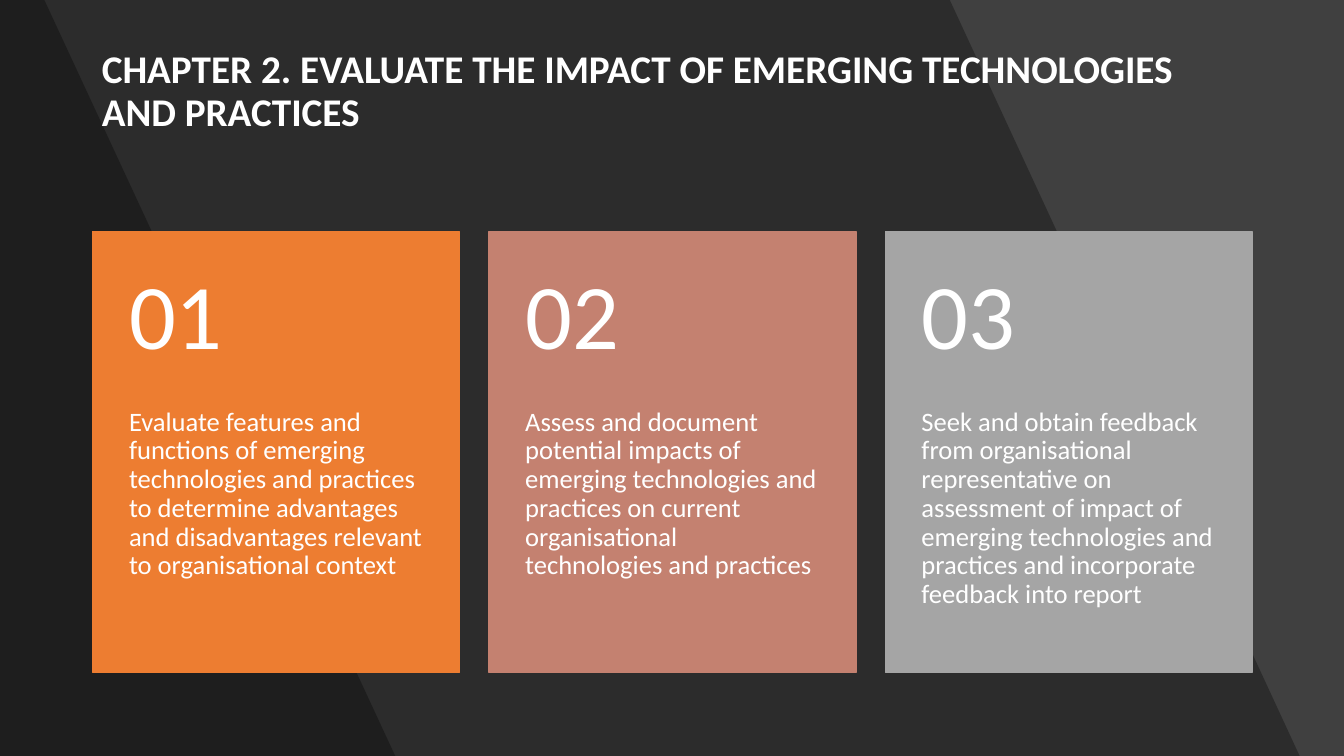
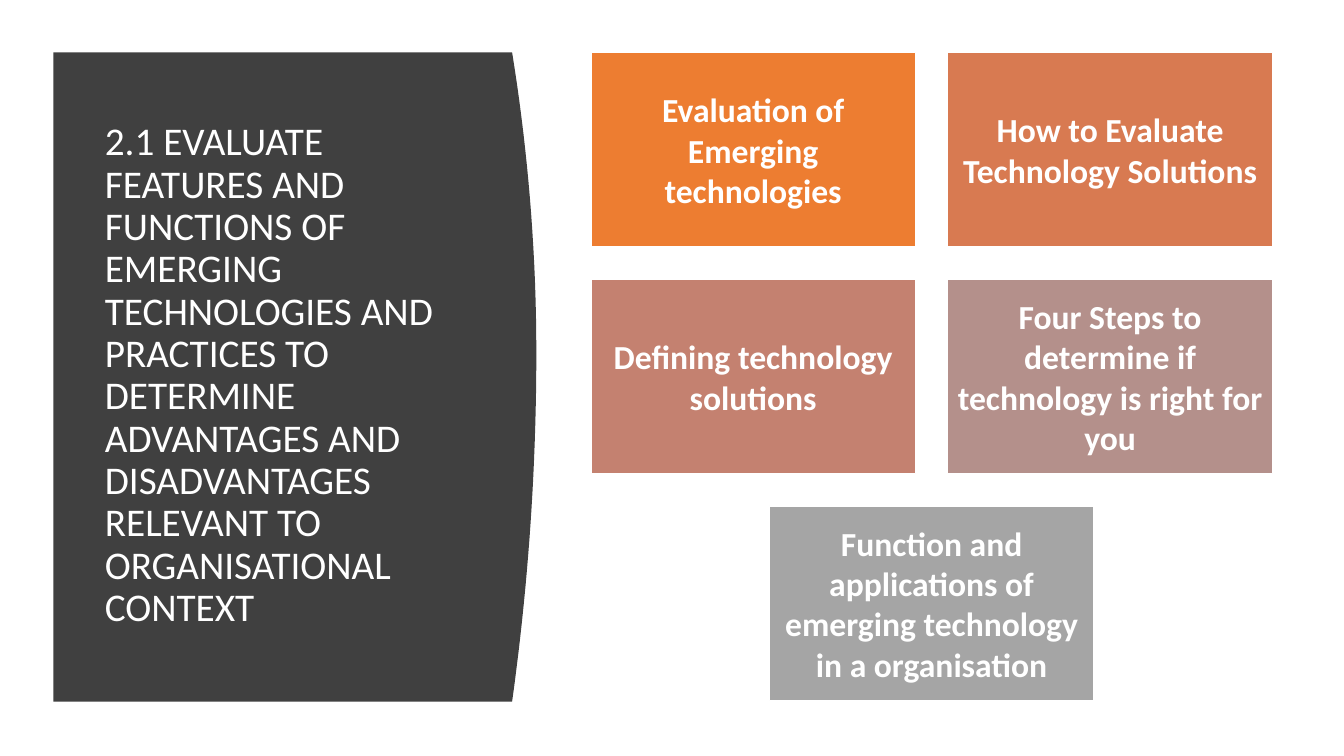
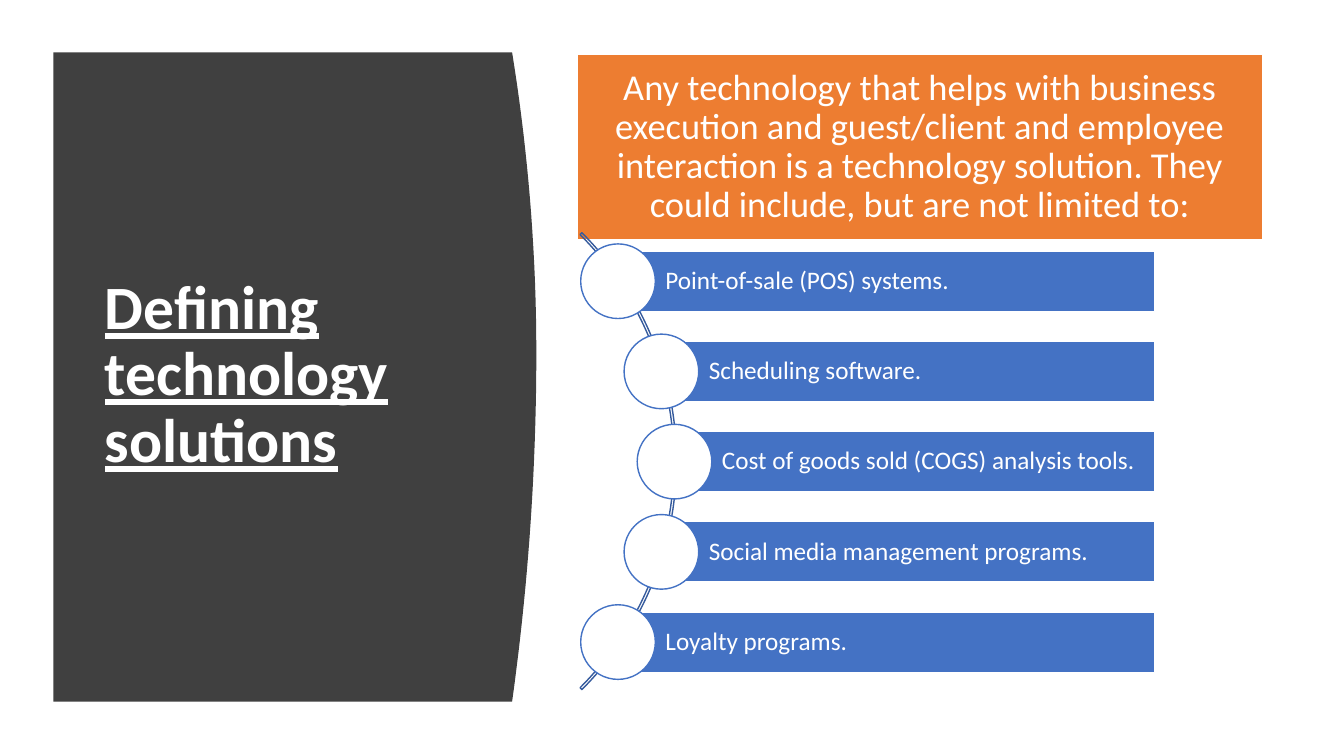
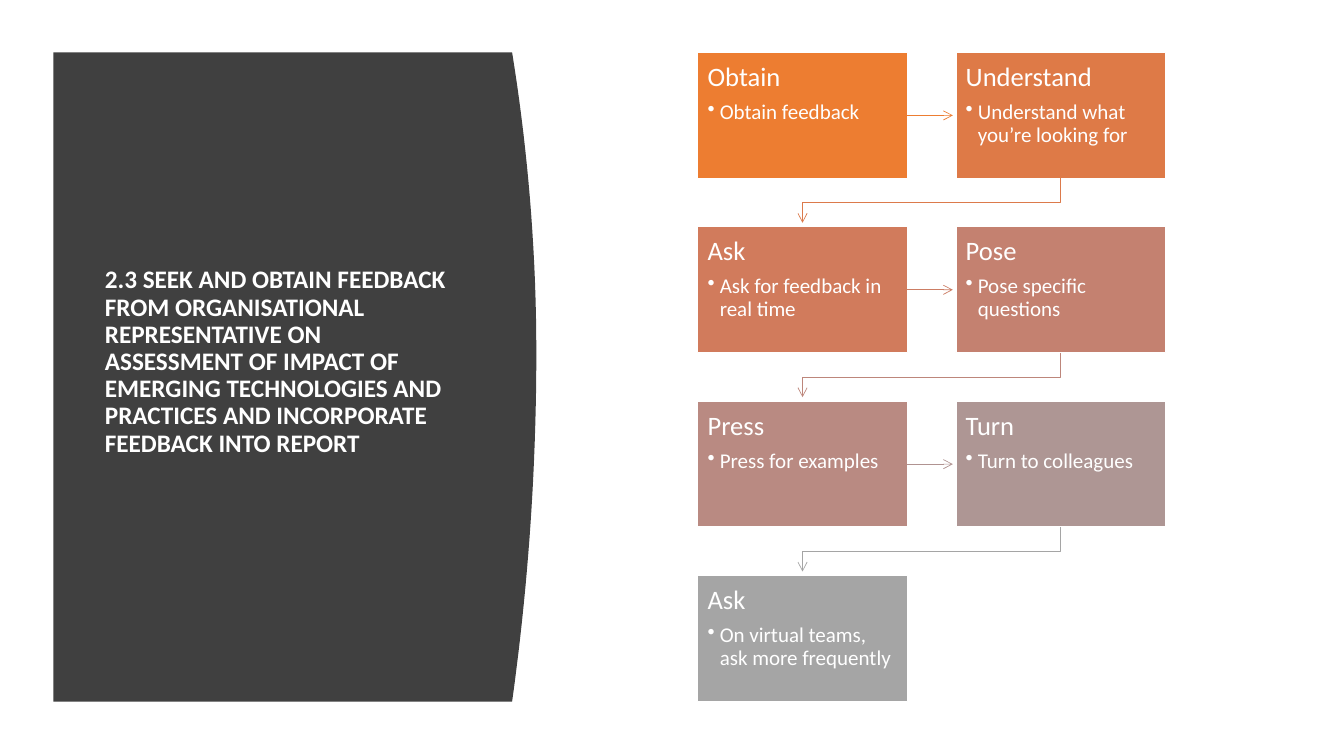
from lxml import etree
from pptx import Presentation
from pptx.dml.color import RGBColor
from pptx.enum.shapes import MSO_CONNECTOR, MSO_SHAPE
from pptx.enum.text import MSO_ANCHOR, MSO_AUTO_SIZE, PP_ALIGN
from pptx.oxml.ns import qn
from pptx.util import Inches, Pt

FONT = "Calibri"
WHITE = RGBColor(0xFF, 0xFF, 0xFF)
BLACK = RGBColor(0x00, 0x00, 0x00)
CHARCOAL = RGBColor(0x40, 0x40, 0x40)
ORANGE = RGBColor(0xED, 0x7D, 0x31)
ROSE = RGBColor(0xC4, 0x81, 0x70)
GREY = RGBColor(0xA5, 0xA5, 0xA5)
BLUE = RGBColor(0x44, 0x72, 0xC4)
ARC_BLUE = RGBColor(0x36, 0x5B, 0x9D)

LEFT, CENTER = PP_ALIGN.LEFT, PP_ALIGN.CENTER
TOP, MIDDLE = MSO_ANCHOR.TOP, MSO_ANCHOR.MIDDLE
RECTANGLE, OVAL, ARC = MSO_SHAPE.RECTANGLE, MSO_SHAPE.OVAL, MSO_SHAPE.BLOCK_ARC
STRAIGHT = MSO_CONNECTOR.STRAIGHT
NO_AUTOFIT = MSO_AUTO_SIZE.NONE
RIGHT_SIDE = 3
TITLE_ONLY = 5

PANEL_TITLE = (0.94, 1.11, 3.74, 5.24)

CARDS = [
    ("01", ORANGE, "Evaluate features and functions of emerging technologies and practices "
     "to determine advantages and disadvantages relevant to organisational context"),
    ("02", ROSE, "Assess and document potential impacts of emerging technologies and "
     "practices on current organisational technologies and practices"),
    ("03", GREY, "Seek and obtain feedback from organisational representative on assessment "
     "of impact of emerging technologies and practices and incorporate feedback into report"),
]

TOPICS = [
    ("Evaluation of Emerging technologies", ORANGE),
    ("How to Evaluate Technology Solutions", RGBColor(0xD8, 0x7A, 0x51)),
    ("Defining technology solutions", ROSE),
    ("Four Steps to determine if technology is right for you", RGBColor(0xB4, 0x90, 0x8B)),
    ("Function and applications of emerging technology in a organisation", GREY),
]

SOLUTIONS = [
    ("Point-of-sale (POS) systems.", 6.13),
    ("Scheduling software.", 6.56),
    ("Cost of goods sold (COGS) analysis tools.", 6.69),
    ("Social media management programs.", 6.56),
    ("Loyalty programs.", 6.13),
]

STEPS = [
    ("Obtain", "Obtain feedback", ORANGE),
    ("Understand", "Understand what you’re looking for", RGBColor(0xDE, 0x7A, 0x47)),
    ("Ask", "Ask for feedback in real time", RGBColor(0xD1, 0x7B, 0x5C)),
    ("Pose", "Pose specific questions", ROSE),
    ("Press", "Press for examples", RGBColor(0xB9, 0x8A, 0x82)),
    ("Turn", "Turn to colleagues", RGBColor(0xAE, 0x96, 0x94)),
    ("Ask", "On virtual teams, ask more frequently", GREY),
]

ARROW_COLORS = [
    ORANGE, RGBColor(0xDC, 0x7A, 0x4B), RGBColor(0xCC, 0x7D, 0x64),
    RGBColor(0xBD, 0x86, 0x7B), RGBColor(0xB0, 0x93, 0x91), GREY,
]


def inches(*lengths):
    """Turn numbers into lengths."""
    return [Inches(length) for length in lengths]


def format_paragraph(paragraph, size, bold=False, align=LEFT, spacing=0.9):
    """Give a paragraph the shared white type."""
    paragraph.alignment = align
    paragraph.line_spacing = spacing
    font = paragraph.font
    font.name, font.size, font.bold = FONT, Pt(size), bold
    font.color.rgb = WHITE


def set_frame(frame, margins, anchor):
    """Set wrapping, anchor and margins (left, top, right, bottom)."""
    frame.word_wrap = True
    frame.auto_size = NO_AUTOFIT
    frame.vertical_anchor = anchor
    (frame.margin_left, frame.margin_top,
     frame.margin_right, frame.margin_bottom) = inches(*margins)


def write(box, text, size, margins, anchor=MIDDLE, **style):
    """Put one formatted paragraph into a box."""
    frame = box.text_frame
    set_frame(frame, margins, anchor)
    frame.text = text
    format_paragraph(frame.paragraphs[0], size, **style)


def add_title(slide, text, size, place, bottom=0.05, **style):
    """Place and format the slide title."""
    title = slide.shapes.title
    title.left, title.top, title.width, title.height = inches(*place)
    write(title, text, size, (0.1, 0.05, 0.1, bottom), **style)
    return title


def add_block(slide, kind, place, fill, line):
    """Add a flat preset shape; a fill of None leaves it open."""
    block = slide.shapes.add_shape(kind, *inches(*place))
    block.shadow.inherit = False
    if fill is None:
        block.fill.background()
    else:
        block.fill.solid()
        block.fill.fore_color.rgb = fill
    block.line.color.rgb = line
    block.line.width = Pt(1)
    return block


def add_outline(slide, points, close=True):
    """Add a freeform through points given in inches."""
    start, *rest = [inches(*point) for point in points]
    builder = slide.shapes.build_freeform(*start)
    builder.add_line_segments(rest, close=close)
    outline = builder.convert_to_shape()
    outline.shadow.inherit = False
    return outline


def add_backdrop(slide, points, color, opacity=None):
    """Add a filled outline behind the title."""
    backdrop = add_outline(slide, points)
    backdrop.fill.solid()
    backdrop.fill.fore_color.rgb = color
    backdrop.line.fill.background()
    if opacity is not None:
        tint = backdrop.element.spPr.find(qn("a:solidFill"))[0]
        etree.SubElement(tint, qn("a:alpha"), val=str(opacity * 1000))
    slide.shapes.title.element.addprevious(backdrop.element)


def add_panel(slide):
    """Add the charcoal title panel with its bowed right edge."""
    left, top, bottom, apex, right, bow = 0.53, 0.52, 6.96, 3.5, 5.32, 0.24
    count = 40
    edge = []
    for index in range(count + 1):
        y = top + (bottom - top) * index / count
        reach = apex - top if y < apex else bottom - apex
        edge.append((right - bow * ((y - apex) / reach) ** 2, y))
    add_backdrop(slide, [(left, top), *edge, (left, bottom)], CHARCOAL)


def add_arrowhead(line, color):
    """Style a thin line and end it with an open arrowhead."""
    line.line.color.rgb = color
    line.line.width = Pt(0.5)
    stroke = line.element.spPr.find(qn("a:ln"))
    etree.SubElement(stroke, qn("a:tailEnd"), type="arrow")


def add_step(slide, heading, detail, place, color):
    """Add a box with a heading and one bullet."""
    box = add_block(slide, RECTANGLE, place, color, WHITE)
    write(box, heading, 19, (0.1, 0.11, 0.1, 0.11), TOP)
    box.text_frame.paragraphs[0].space_after = Pt(6.5)
    bullet = box.text_frame.add_paragraph()
    bullet.text = detail
    bullet.level = 1
    properties = bullet._p.get_or_add_pPr()
    properties.set("marL", str(Inches(0.12)))
    properties.set("indent", str(Inches(-0.12)))
    etree.SubElement(properties, qn("a:buChar"), char="•")
    format_paragraph(bullet, 15)
    return box


def add_straight_arrow(slide, box, end, color):
    """Point an arrow from the right side of a box to an end."""
    x, y = inches(*end)
    arrow = slide.shapes.add_connector(STRAIGHT, box.left + box.width, y, x, y)
    arrow.begin_connect(box, RIGHT_SIDE)
    add_arrowhead(arrow, color)
    etree.SubElement(arrow.element.spPr, qn("a:effectLst"))


def add_bent_arrow(slide, start, end, color):
    """Point an arrow down, across and down again."""
    bend = start[1] + 0.24
    arrow = add_outline(slide, [start, (start[0], bend), (end[0], bend), end], close=False)
    arrow.fill.background()
    add_arrowhead(arrow, color)


def build_chapter(slide):
    """Build the chapter opening with three numbered cards."""
    slide.background.fill.solid()
    slide.background.fill.fore_color.rgb = CHARCOAL
    for top_right, bottom_right in ((9.42, 12.89), (0.44, 3.92)):
        add_backdrop(slide, [(0, 0), (top_right, 0), (bottom_right, 7.5), (0, 7.5)], BLACK, 30)
    add_title(slide, "CHAPTER 2. EVALUATE THE IMPACT OF EMERGING TECHNOLOGIES AND PRACTICES",
              28, (0.91, 0.4, 11.51, 1.45), bottom=0.47, bold=True)
    for index, (number, color, text) in enumerate(CARDS):
        left = 0.92 + 3.93 * index
        card = add_block(slide, RECTANGLE, (left, 2.3, 3.64, 4.37), color, color)
        write(card, text, 19, (0.36, 1.75, 0.36, 0.36), TOP)
        label = slide.shapes.add_textbox(*inches(left, 2.3, 3.64, 1.75))
        write(label, number, 66, (0.36, 0.18, 0.36, 0.18))


def build_topics(slide):
    """Build the topic overview, its last box centred."""
    add_panel(slide)
    add_title(slide, "2.1 EVALUATE FEATURES AND FUNCTIONS OF EMERGING TECHNOLOGIES AND PRACTICES "
              "TO DETERMINE ADVANTAGES AND DISADVANTAGES RELEVANT TO ORGANISATIONAL CONTEXT",
              28, PANEL_TITLE)
    pitch = 3.54
    for index, (text, color) in enumerate(TOPICS):
        row, column = divmod(index, 2)
        if index == len(TOPICS) - 1:
            column = 0.5
        place = (5.86 + pitch * column, 0.52 + 2.25 * row, 3.22, 1.93)
        box = add_block(slide, RECTANGLE, place, color, WHITE)
        write(box, text, 24, (0.1,) * 4, bold=True, align=CENTER, spacing=1.0)


def build_solutions(slide):
    """Build the definition and its list along an arc."""
    add_panel(slide)
    title = add_title(slide, "Defining technology solutions", 44, PANEL_TITLE, bold=True)
    title.text_frame.paragraphs[0].font.underline = True
    definition = add_block(slide, RECTANGLE, (5.73, 0.54, 6.79, 1.84), ORANGE, WHITE)
    write(definition, "Any technology that helps with business execution and guest/client and "
          "employee interaction is a technology solution. They could include, but are not "
          "limited to:", 26, (0.11,) * 4, align=CENTER)
    arc = add_block(slide, ARC, (0.3, 1.37, 6.41, 6.41), None, ARC_BLUE)
    for index, value in enumerate((189, 27, 0.004)):
        arc.adjustments[index] = value
    first, last, right = 2.49, 6.07, 11.45
    pitch = (last - first) / (len(SOLUTIONS) - 1)
    for index, (text, left) in enumerate(SOLUTIONS):
        top = first + pitch * index
        bar = add_block(slide, RECTANGLE, (left, top, right - left, 0.6), BLUE, WHITE)
        write(bar, text, 18, (0.47, 0.05, 0.05, 0.05))
        add_block(slide, OVAL, (left - 0.37, top - 0.07, 0.74, 0.74), WHITE, BLUE)


def build_feedback(slide):
    """Build the feedback steps joined by arrows."""
    add_panel(slide)
    add_title(slide, "2.3 SEEK AND OBTAIN FEEDBACK FROM ORGANISATIONAL REPRESENTATIVE ON "
              "ASSESSMENT OF IMPACT OF EMERGING TECHNOLOGIES AND PRACTICES AND INCORPORATE "
              "FEEDBACK INTO REPORT", 18, PANEL_TITLE, bottom=0.32, bold=True)
    left, top, width, height = 6.92, 0.52, 2.08, 1.25
    across, down = 2.56, 1.73
    for index, (heading, detail, color) in enumerate(STEPS):
        row, column = divmod(index, 2)
        x, y = left + across * column, top + down * row
        box = add_step(slide, heading, detail, (x, y, width, height), color)
        if index == len(STEPS) - 1:
            continue
        if column == 0:
            add_straight_arrow(slide, box, (x + across - 0.03, y + height / 2),
                               ARROW_COLORS[index])
        else:
            middle = x + width / 2
            add_bent_arrow(slide, (middle, y + height), (middle - across, y + down - 0.04),
                           ARROW_COLORS[index])


def main():
    """Build and save the deck."""
    deck = Presentation()
    deck.slide_width, deck.slide_height = inches(13.33, 7.5)
    for build in (build_chapter, build_topics, build_solutions, build_feedback):
        build(deck.slides.add_slide(deck.slide_layouts[TITLE_ONLY]))
    deck.save("out.pptx")


if __name__ == "__main__":
    main()
